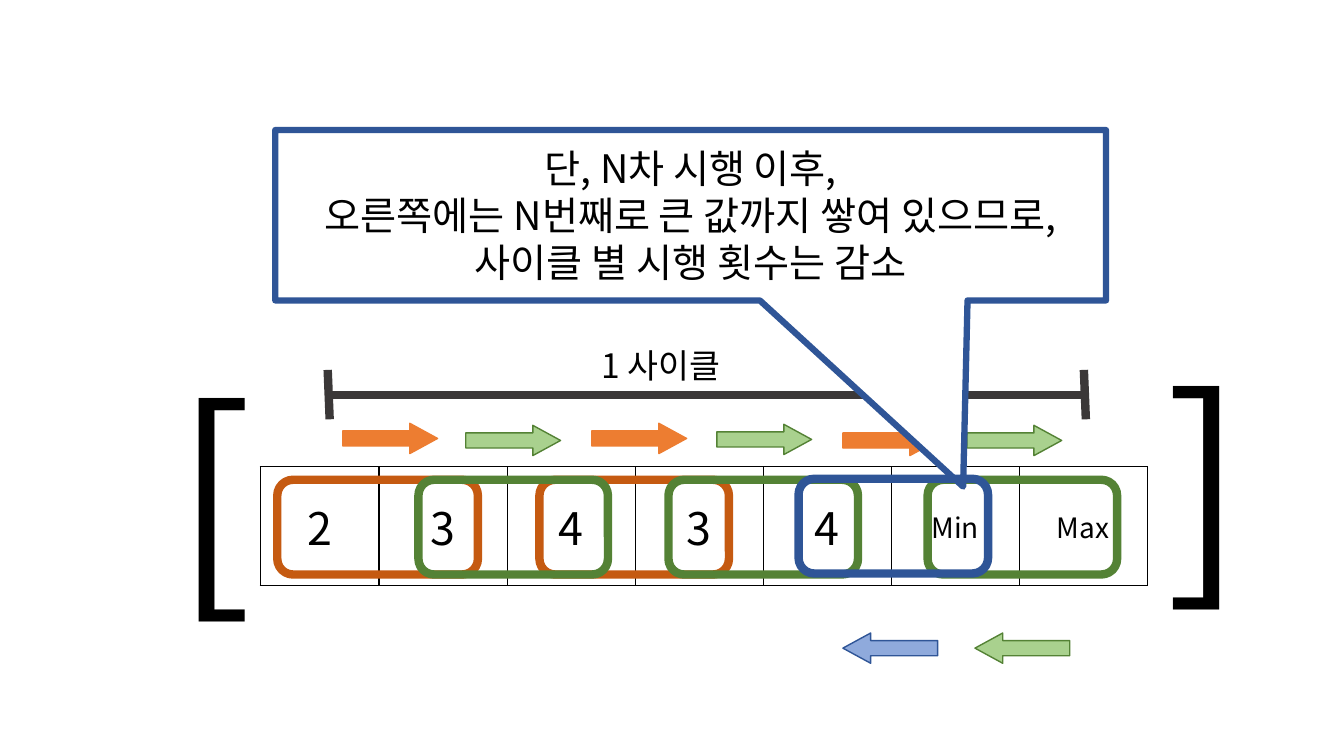
"""Build the bubble sort cycle slide with its shrinking-pass callout."""
from lxml.etree import SubElement
from pptx import Presentation
from pptx.dml.color import RGBColor
from pptx.enum.shapes import MSO_CONNECTOR, MSO_SHAPE
from pptx.enum.text import MSO_ANCHOR, MSO_AUTO_SIZE, PP_ALIGN
from pptx.oxml.ns import qn
from pptx.util import Inches, Pt

FONT = "Noto Sans CJK KR"
COLORS = {name: RGBColor.from_string(value) for name, value in {
    "black": "000000", "white": "FFFFFF", "axis": "3B3838",
    "orange": "ED7D31", "dark_orange": "C55A11",
    "green": "A9D18E", "dark_green": "548235",
    "blue": "8FAADC", "dark_blue": "2F5597",
}.items()}


def write(frame, text, size, align=PP_ALIGN.LEFT):
    paragraph = frame.paragraphs[0]
    paragraph.text = text
    paragraph.alignment = align
    paragraph.font.size = Pt(size)
    paragraph.font.name = FONT
    paragraph.font.color.rgb = COLORS["black"]
    defaults = paragraph._p.pPr.find(qn("a:defRPr"))
    SubElement(defaults, qn("a:ea"), typeface=FONT)


def draw(kind, left, top, width, height, fill, line, weight):
    shape = slide.shapes.add_shape(
        kind, Inches(left), Inches(top), Inches(width), Inches(height))
    shape.shadow.inherit = False
    if fill:
        shape.fill.solid()
        shape.fill.fore_color.rgb = COLORS[fill]
    else:
        shape.fill.background()
    shape.line.color.rgb = COLORS[line]
    shape.line.width = Pt(weight)
    return shape


prs = Presentation()
prs.slide_width, prs.slide_height = Inches(13.33), Inches(7.5)
slide = prs.slides.add_slide(prs.slide_layouts[6])

values = ["2", "3", "4", "3", "4", "Min", "Max"]
array = slide.shapes.add_table(
    1, len(values), Inches(2.58), Inches(4.63), Inches(8.8), Inches(1.18)).table
array.first_row = array.horz_banding = False
array.rows[0].height = Inches(1.18)
for index, value in enumerate(values):
    array.columns[index].width = Inches(1.27 if index else 1.18)
    cell = array.cell(0, index)
    cell.vertical_anchor = MSO_ANCHOR.MIDDLE
    write(cell.text_frame, value, 32 if value.isdigit() else 20, PP_ALIGN.CENTER)
    for side in ("lnL", "lnR", "lnT", "lnB"):
        border = SubElement(cell._tc.get_or_add_tcPr(), qn(f"a:{side}"), w=str(Pt(1)))
        SubElement(SubElement(border, qn("a:solidFill")), qn("a:srgbClr"), val="000000")
    cell.fill.background()

for left, width, color in [
    (2.75, 1.99, "dark_orange"), (5.35, 1.88, "dark_orange"),
    (4.15, 1.88, "dark_green"), (6.63, 1.88, "dark_green"), (9.2, 1.88, "dark_green"),
]:
    draw(MSO_SHAPE.ROUNDED_RECTANGLE, left, 4.76, width, 0.94, None, color, 6)

for left, top, fill, line, rotation in [
    (4.62, 4.22, "green", "dark_green", 0), (7.11, 4.21, "green", "dark_green", 0),
    (9.59, 4.22, "green", "dark_green", 0), (3.4, 4.2, "orange", "orange", 0),
    (5.87, 4.2, "orange", "orange", 0), (8.36, 4.22, "orange", "orange", 0),
    (9.67, 6.28, "green", "dark_green", 180), (8.36, 6.28, "blue", "dark_blue", 180),
]:
    arrow = draw(MSO_SHAPE.RIGHT_ARROW, left, top, 0.94, 0.3, fill, line, 1)
    arrow.adjustments[1] = 0.917
    arrow.rotation = rotation

cycle_span = slide.shapes.add_group_shape()
for ends in [(3.25, 3.92, 10.76, 3.92), (3.27, 4.16, 3.25, 3.67), (10.77, 4.16, 10.75, 3.67)]:
    stroke = cycle_span.shapes.add_connector(
        MSO_CONNECTOR.STRAIGHT, *[Inches(value) for value in ends])
    stroke.line.color.rgb = COLORS["axis"]
    stroke.line.width = Pt(6)
    SubElement(stroke._element.spPr, qn("a:effectLst"))

callout = draw(MSO_SHAPE.RECTANGULAR_CALLOUT, 2.73, 1.29, 8.24, 1.69,
               "white", "dark_blue", 4.5)
callout.adjustments[0], callout.adjustments[1] = 0.328, 1.593
callout.text_frame.word_wrap = True
callout.text_frame.vertical_anchor = MSO_ANCHOR.MIDDLE
write(callout.text_frame,
      "단, N차 시행 이후,\v오른쪽에는 N번째로 큰 값까지 쌓여 있으므로, 사이클 별 시행 횟수는 감소",
      28, PP_ALIGN.CENTER)

for text, left, top, width, height, size in [
    ("1 사이클", 5.87, 3.37, 1.52, 0.5, 24),
    ("[", 1.63, 3.42, 0.91, 2.89, 166),
    ("]", 11.46, 3.31, 0.91, 2.89, 166),
]:
    label = slide.shapes.add_textbox(
        Inches(left), Inches(top), Inches(width), Inches(height)).text_frame
    label.word_wrap = False
    label.auto_size = MSO_AUTO_SIZE.SHAPE_TO_FIT_TEXT
    write(label, text, size)

draw(MSO_SHAPE.ROUNDED_RECTANGLE, 7.92, 4.75, 1.88, 0.94, None, "dark_blue", 6)

prs.save("out.pptx")
